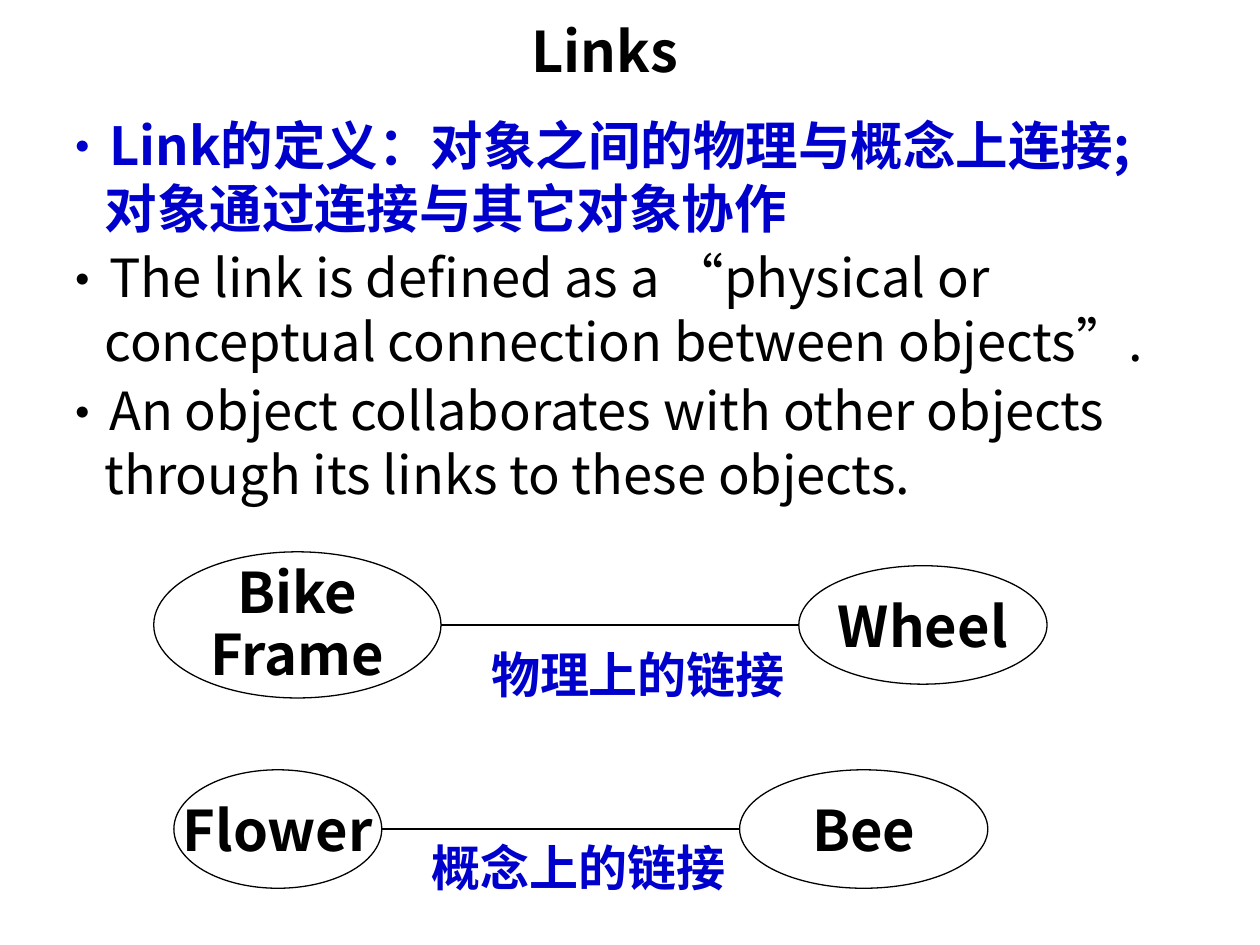
from lxml.etree import SubElement
from pptx import Presentation
from pptx.dml.color import RGBColor as RGB
from pptx.enum.shapes import MSO_CONNECTOR as LINE, MSO_SHAPE as SHAPE
from pptx.enum.text import MSO_ANCHOR as ANCHOR, MSO_AUTO_SIZE as AUTO, PP_ALIGN as ALIGN
from pptx.oxml.ns import qn
from pptx.util import Inches, Pt

FONT = "Noto Sans CJK SC"
COLORS = {"ink": "000000", "blue": "0000CC", "paper": "FFFFFF"}
POINTS = [
    ("Link的定义：对象之间的物理与概念上连接; 对象通过连接与其它对象协作", "blue", True),
    ("The link is defined as a “physical or conceptual connection between objects”.",
     "ink", False),
    ("An object collaborates with other objects through its links to these objects.",
     "ink", False),
]


def color(name):
    return RGB.from_string(COLORS[name])


def style(para, size, ink="ink", bold=True):
    for run in para.runs:
        font = run.font
        font.name, font.size, font.bold = FONT, Pt(size), bold
        font.color.rgb = color(ink)
        SubElement(font._element, qn("a:ea"), typeface=FONT)


def place(shape, box):
    shape.left, shape.top, shape.width, shape.height = map(Inches, box)


def bullet(para, ink):
    props = para._p.get_or_add_pPr()
    props.set("marL", str(Inches(0.38)))
    props.set("indent", str(Inches(-0.38)))
    tint = SubElement(props, qn("a:buClr"))
    SubElement(tint, qn("a:srgbClr"), val=COLORS[ink])
    SubElement(props, qn("a:buFont"), typeface=FONT)
    SubElement(props, qn("a:buChar"), char="•")


def title(slide, box):
    shape = slide.shapes.title
    place(shape, box)
    frame = shape.text_frame
    frame.text = "Links"
    frame.auto_size = AUTO.NONE
    frame.vertical_anchor = ANCHOR.MIDDLE
    para = frame.paragraphs[0]
    para.alignment = ALIGN.CENTER
    style(para, 32)


def body(slide, box):
    shape = slide.placeholders[1]
    place(shape, box)
    frame = shape.text_frame
    frame.text = "\n".join(text for text, _, _ in POINTS)
    frame.auto_size = AUTO.NONE
    for i, (para, (_, ink, bold)) in enumerate(zip(frame.paragraphs, POINTS)):
        bullet(para, ink)
        para.line_spacing = Pt(36.3)
        para.space_before = Pt(3.3 if i else 0)
        style(para, 30, ink, bold)


def oval(group, text, box):
    shape = group.shapes.add_shape(SHAPE.OVAL, *map(Inches, box))
    shape.shadow.inherit = False
    shape.fill.solid()
    shape.fill.fore_color.rgb = color("paper")
    shape.line.color.rgb = color("ink")
    shape.line.width = Pt(0.75)
    frame = shape.text_frame
    frame.text = text
    frame.word_wrap = False
    frame.vertical_anchor = ANCHOR.MIDDLE
    for para in frame.paragraphs:
        para.alignment = ALIGN.CENTER
        if len(frame.paragraphs) > 1:
            para.line_spacing = Pt(35.4)
        style(para, 32)


def link(group, start, end, y):
    line = group.shapes.add_connector(LINE.STRAIGHT, *map(Inches, (start, y, end, y)))
    line.line.color.rgb = color("ink")
    line.line.width = Pt(0.75)
    SubElement(line._element.spPr, qn("a:effectLst"))


def label(group, text, box):
    frame = group.shapes.add_textbox(*map(Inches, box)).text_frame
    frame.text = text
    frame.word_wrap = False
    frame.auto_size = AUTO.SHAPE_TO_FIT_TEXT
    para = frame.paragraphs[0]
    para.line_spacing = Pt(34)
    style(para, 28, "blue")


def pair(slide, box, first, second, note, width, drop):
    left, top, span, height = box
    wide, tall = 1.97, 0.94
    mid = top + height / 2
    start, end = left + width, left + span - wide
    group = slide.shapes.add_group_shape()
    oval(group, first, (left, top, width, height))
    link(group, start, end, mid)
    oval(group, second, (end, mid - tall / 2, wide, tall))
    label(group, note, (start + 0.3, mid + drop, 2.53, 0.57))


def main():
    deck = Presentation()
    deck.slide_width, deck.slide_height = Inches(10), Inches(7.5)
    slide = deck.slides.add_slide(deck.slide_layouts[1])
    title(slide, (3.58, 0.05, 2.44, 0.69))
    body(slide, (0.35, 0.84, 9.23, 3.23))
    pair(slide, (1.22, 4.38, 7.09, 1.16), "Bike\nFrame", "Wheel", "物理上的链接", 2.28, 0.1)
    pair(slide, (1.38, 6.11, 6.46, 0.94), "Flower", "Bee", "概念上的链接", 1.65, 0.01)
    deck.save("out.pptx")


if __name__ == "__main__":
    main()
